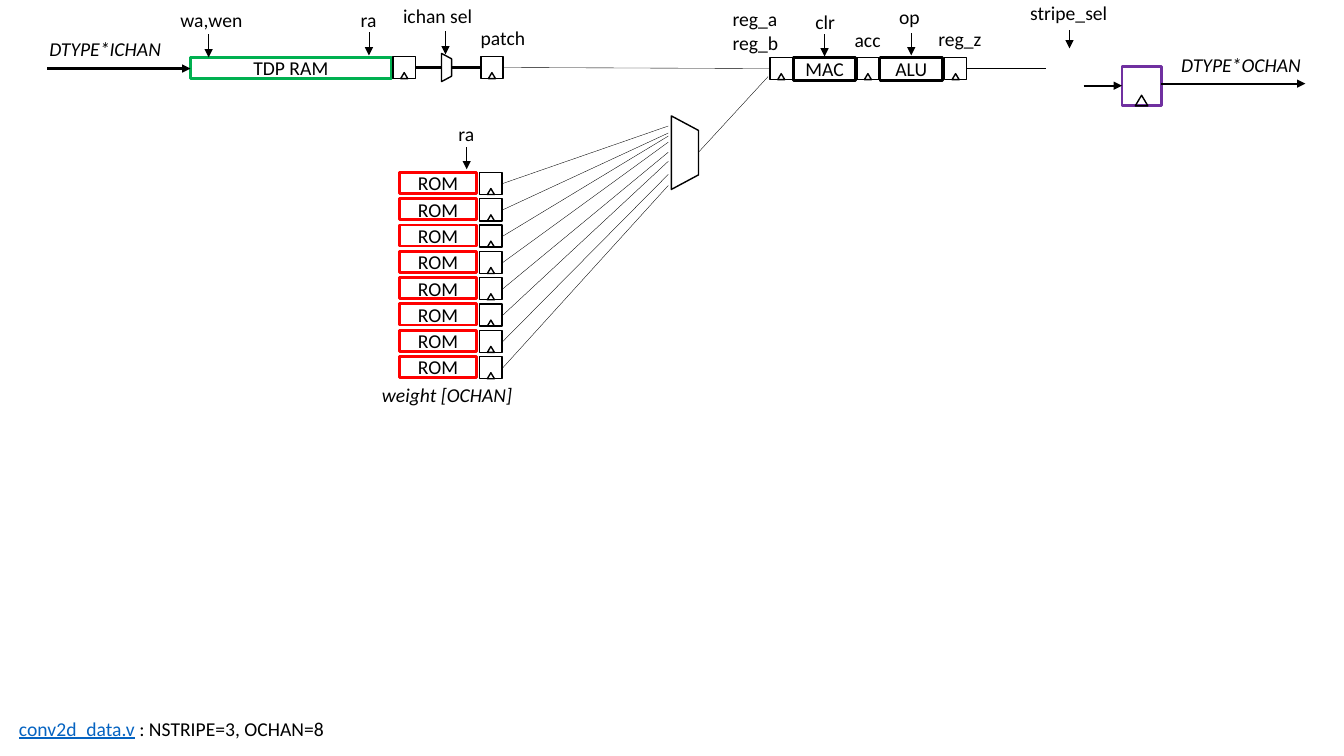
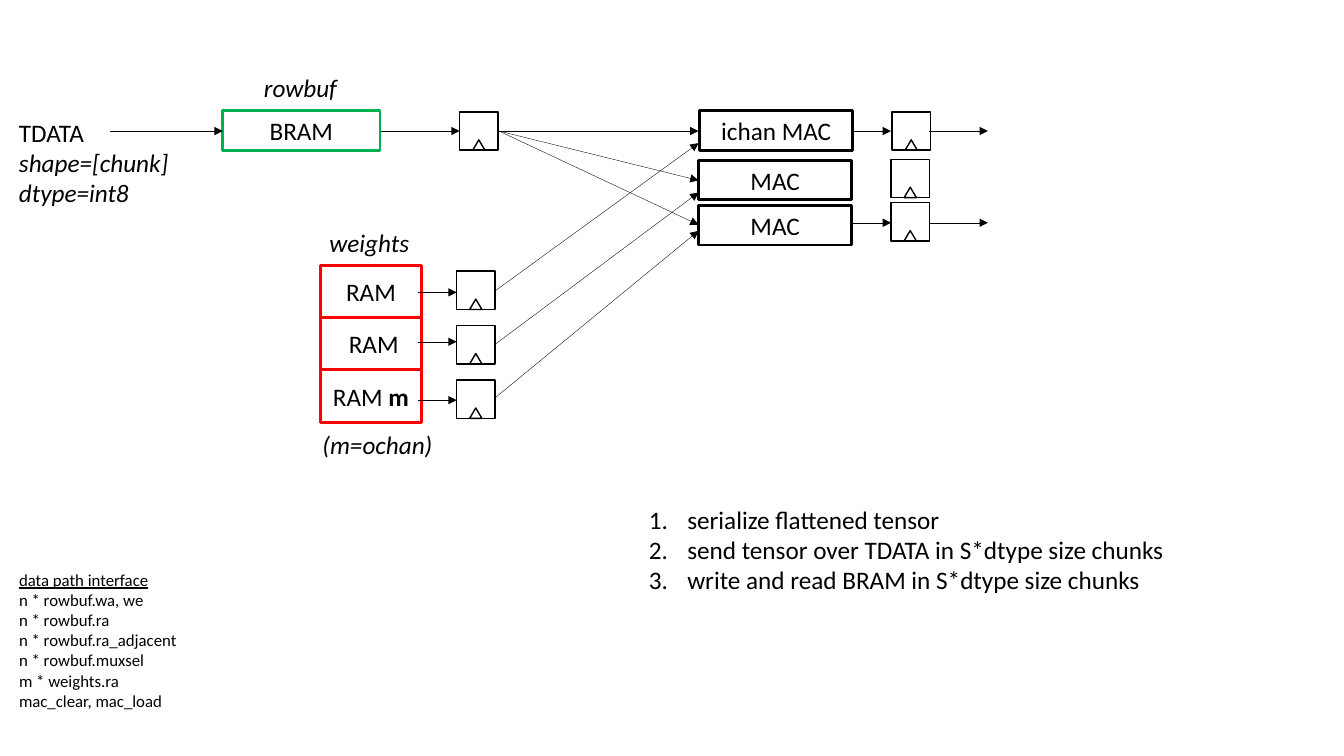
from dataclasses import dataclass
from lxml.etree import SubElement
from pptx import Presentation
from pptx.dml.color import RGBColor
from pptx.enum.shapes import MSO_CONNECTOR as Link, MSO_SHAPE as Form
from pptx.enum.text import MSO_ANCHOR as Anchor, MSO_AUTO_SIZE as Fit, PP_ALIGN as Align
from pptx.oxml.ns import qn
from pptx.util import Inches, Pt

COLS, ROWS = 133.33, 75


@dataclass(frozen=True)
class Theme:
    font: str = "Calibri"
    ink: str = "000000"
    ram: str = "00B050"
    rom: str = "FF0000"
    output: str = "7030A0"
    link: str = "0563C1"
    note: int = 12
    label: int = 14
    body: int = 18
    hair: float = 0.25
    thin: float = 0.5
    outline: float = 1
    bus: float = 1.5
    block: float = 2


THEME = Theme()

PIPE_BLOCKS = [
    ("TDP RAM", 18.9, 5.7, 19.9, 2.1, THEME.ram),
    ("MAC", 78.7, 5.7, 6.2, 2.3, THEME.ink),
    ("ALU", 87.3, 5.7, 6.2, 2.3, THEME.ink),
]
PIPE_REGISTERS = [(39, 5.6), (47.7, 5.6), (76.4, 5.7), (85, 5.7), (93.7, 5.7)]
PIPE_LABELS = [
    ("wa,wen", 16.9, 0.3, 8.2),
    ("ra", 34.8, 0.3, 3.6),
    ("ichan sel", 39, -0.1, 9),
    ("ra", 44.5, 11.6, 3.6),
    ("stripe_sel", 101.2, -0.4, 9.8),
    ("op", 88.2, 0, 4.1),
    ("clr", 79.9, 0.5, 4),
    ("acc", 83.8, 2.3, 4.6),
    ("reg_z", 92.1, 2.2, 6.3),
    ("patch", 46.7, 2.1, 6.5),
]
PIPE_NAMES = [
    ("DTYPE*ICHAN", 3.9, 3.2, 13.2),
    ("DTYPE*OCHAN", 116.2, 4.8, 14),
    ("weight [OCHAN]", 36.9, 37.5, 15.1),
]
CONTROL_ARROWS = [
    (20.7, 3.4, 5.7), (36.6, 3.2, 5.5), (44.2, 3.1, 5.4), (46.3, 14.6, 16.8),
    (106.1, 3, 4.8), (81.8, 3.4, 5.6), (90.4, 3.3, 5.5),
]
PIPE_BUSES = [
    (4.7, 6.8, 18.9, True), (41.2, 6.7, 43.8, False), (44.8, 6.7, 47.7, False),
    (107.5, 8.5, 111.3, True), (115.2, 8.3, 129.5, True),
]
PIPE_WIRES = [
    (50, 6.7, 76.4, 6.8), (95.9, 6.8, 103.8, 6.8), (69.3, 15.1, 76.2, 7.6),
]
MUXES = [(42.9, 6.2, 2.8, 1), (64.3, 13.8, 7.3, 2.7)]
ROM_TOP, ROM_PITCH = 17.1, 2.61
MUX_INPUTS = [12.5, 13.2, 13.5, 14.1, 15.1, 16, 17.3, 18.4]
PARAMETERS = [[("conv2d_data.v", dict(color=THEME.link, underline=True)),
               (" : NSTRIPE=3, OCHAN=8", {})]]

FLOW_BLOCKS = [
    ("BRAM", 22.1, 11, 15.6, 3.9, THEME.ram),
    ("ichan MAC", 69.4, 11, 15.2, 3.9, THEME.ink),
    ("MAC", 69.3, 15.9, 15.2, 3.9, THEME.ink),
    ("MAC", 69.3, 20.4, 15.2, 3.9, THEME.ink),
]
WEIGHT_RAMS = ["RAM", " RAM", [[("RAM ", {}), ("m", dict(bold=True))]]]
RAM_LEFT, RAM_TOP, RAM_WIDTH, RAM_PITCH = 31.8, 26.3, 10, 5.2
WEIGHT_REGISTER_TOP, WEIGHT_REGISTER_PITCH = 26.9, 5.4
WEIGHT_READS = [29, 33.9, 39.7]
WEIGHT_FEEDS = [(28.8, 14.2), (34.1, 19.1), (39.4, 22.9)]
DATA_FEEDS = [13, 17.9, 22.3]
FLOW_REGISTERS = [(45.6, 11.1), (88.5, 11.1), (88.4, 15.8), (88.4, 20.1)]
FLOW_WIRES = [(10.9, 13, 22.1), (37.8, 13, 45.6)] + [
    (left, row, right) for row in (13, 22.1) for left, right in ((84.6, 88.4), (92.2, 98))]
FLOW_NAMES = [
    ("rowbuf", 25.2, 6.7, 9.3),
    ("weights", 31.7, 22.1, 10),
    ("(m=ochan)", 31, 42.1, 13.1),
]
STREAM = ["TDATA", [("shape=[chunk]", dict(italic=True))], [("dtype=int8", dict(italic=True))]]
INTERFACE = [
    [("data path interface", dict(underline=True))],
    "n * rowbuf.wa, we",
    "n * rowbuf.ra",
    "n * rowbuf.ra_adjacent",
    "n * rowbuf.muxsel",
    "m * weights.ra",
    "mac_clear, mac_load",
]
STEPS = [
    "serialize flattened tensor",
    "send tensor over TDATA in S*dtype size chunks",
    "write and read BRAM in S*dtype size chunks",
]


def cells(*counts):
    return [Inches(count / 10) for count in counts]


def write(frame, content, size=THEME.label, align=Align.LEFT, numbered=False, **base):
    frame.word_wrap = False
    lines = [content] if isinstance(content, str) else content
    for index, line in enumerate(lines):
        paragraph = frame.add_paragraph() if index else frame.paragraphs[0]
        paragraph.alignment = align
        if numbered:
            props = paragraph._p.get_or_add_pPr()
            indent = Inches(0.38)
            props.set("marL", str(indent))
            props.set("indent", str(-indent))
            SubElement(props, qn("a:buFont"), typeface="+mj-lt")
            SubElement(props, qn("a:buAutoNum"), type="arabicPeriod")
        for words, extra in [(line, {})] if isinstance(line, str) else line:
            style = {"color": THEME.ink, **base, **extra}
            run = paragraph.add_run()
            run.text = words
            font = run.font
            font.name, font.size = THEME.font, Pt(size)
            font.color.rgb = RGBColor.from_string(style["color"])
            font.bold = style.get("bold", False)
            font.italic = style.get("italic", False)
            font.underline = style.get("underline", False)


def text_box(slide, content, left, top, width, height=3.4, **style):
    frame = slide.shapes.add_textbox(*cells(left, top, width, height)).text_frame
    write(frame, content, **style)
    frame.auto_size = Fit.SHAPE_TO_FIT_TEXT


def outline(slide, form, left, top, width, height, color=THEME.ink, weight=THEME.outline):
    shape = slide.shapes.add_shape(form, *cells(left, top, width, height))
    shape.shadow.inherit = False
    shape.fill.background()
    shape.line.color.rgb = RGBColor.from_string(color)
    shape.line.width = Pt(weight)
    return shape


def block(slide, content, left, top, width, height, color, size):
    frame = outline(slide, Form.RECTANGLE, left, top, width, height, color, THEME.block).text_frame
    frame.margin_left = frame.margin_right = frame.margin_top = frame.margin_bottom = 0
    frame.vertical_anchor = Anchor.MIDDLE
    write(frame, content, size=size, align=Align.CENTER)


def register(slide, left, top, side, **edge):
    outline(slide, Form.RECTANGLE, left, top, side, side, **edge)
    width, height = side * 0.32, side * 0.27
    outline(slide, Form.ISOSCELES_TRIANGLE, left + (side - width) / 2, top + side - height,
            width, height)


def mux(slide, left, top, width, height):
    shape = outline(slide, Form.TRAPEZOID, left, top, width, height)
    shape.rotation = 90
    shape.adjustments[0] = 0.536


def wire(slide, x1, y1, x2, y2, weight=THEME.hair, arrow=False):
    connector = slide.shapes.add_connector(Link.STRAIGHT, *cells(x1, y1, x2, y2))
    connector.line.color.rgb = RGBColor.from_string(THEME.ink)
    connector.line.width = Pt(weight)
    if arrow:
        SubElement(connector.line._get_or_add_ln(), qn("a:tailEnd"), type="triangle")
    SubElement(connector._element.spPr, qn("a:effectLst"))


def build_pipeline(slide):
    for index, mux_input in enumerate(MUX_INPUTS):
        top = ROM_TOP + index * ROM_PITCH
        block(slide, "ROM", 39.6, top, 7.7, 2.1, THEME.rom, THEME.label)
        register(slide, 47.6, top, 2.2)
        wire(slide, 49.9, top + 1.1, 66.3, mux_input)
    for part in PIPE_BLOCKS:
        block(slide, *part, THEME.label)
    for left, top in PIPE_REGISTERS:
        register(slide, left, top, 2.2)
    register(slide, 111.3, 6.6, 3.9, color=THEME.output, weight=THEME.block)
    for frame in MUXES:
        mux(slide, *frame)
    for ends in PIPE_WIRES:
        wire(slide, *ends)
    for left, row, right, arrow in PIPE_BUSES:
        wire(slide, left, row, right, row, THEME.bus, arrow)
    for column, top, bottom in CONTROL_ARROWS:
        wire(slide, column, top, column, bottom, THEME.thin, True)
    for label in PIPE_LABELS:
        text_box(slide, *label)
    for name in PIPE_NAMES:
        text_box(slide, *name, italic=True)
    text_box(slide, ["reg_a", "reg_b"], 71.7, 0.2, 6.6, 5.7)
    text_box(slide, PARAMETERS, 0.9, 70.6, 32.6)


def build_flow(slide):
    for part in FLOW_BLOCKS:
        block(slide, *part, THEME.body)
    for index, (label, read, feed) in enumerate(zip(WEIGHT_RAMS, WEIGHT_READS, WEIGHT_FEEDS)):
        block(slide, label, RAM_LEFT, RAM_TOP + index * RAM_PITCH, RAM_WIDTH, RAM_PITCH,
              THEME.rom, THEME.body)
        register(slide, 45.3, WEIGHT_REGISTER_TOP + index * WEIGHT_REGISTER_PITCH, 3.8)
        wire(slide, 41.5, read, 45.3, read, arrow=True)
        wire(slide, 49.2, feed[0], 69.3, feed[1], arrow=True)
    for left, top in FLOW_REGISTERS:
        register(slide, left, top, 3.8)
    for target in DATA_FEEDS:
        wire(slide, 49.5, 13, 69.3, target, arrow=True)
    for left, row, right in FLOW_WIRES:
        wire(slide, left, row, right, row, arrow=True)
    for name in FLOW_NAMES:
        text_box(slide, *name, 4, size=THEME.body, italic=True)
    text_box(slide, STREAM, 0.9, 11.1, 17, 10.1, size=THEME.body)
    text_box(slide, INTERFACE, 0.9, 56, 17.8, 17.2, size=THEME.note)
    text_box(slide, STEPS, 63.4, 49.5, 53.6, 10.1, size=THEME.body, numbered=True)


def main():
    deck = Presentation()
    deck.slide_width, deck.slide_height = cells(COLS, ROWS)
    for build in (build_pipeline, build_flow):
        build(deck.slides.add_slide(deck.slide_layouts[6]))
    deck.save("out.pptx")


if __name__ == "__main__":
    main()
